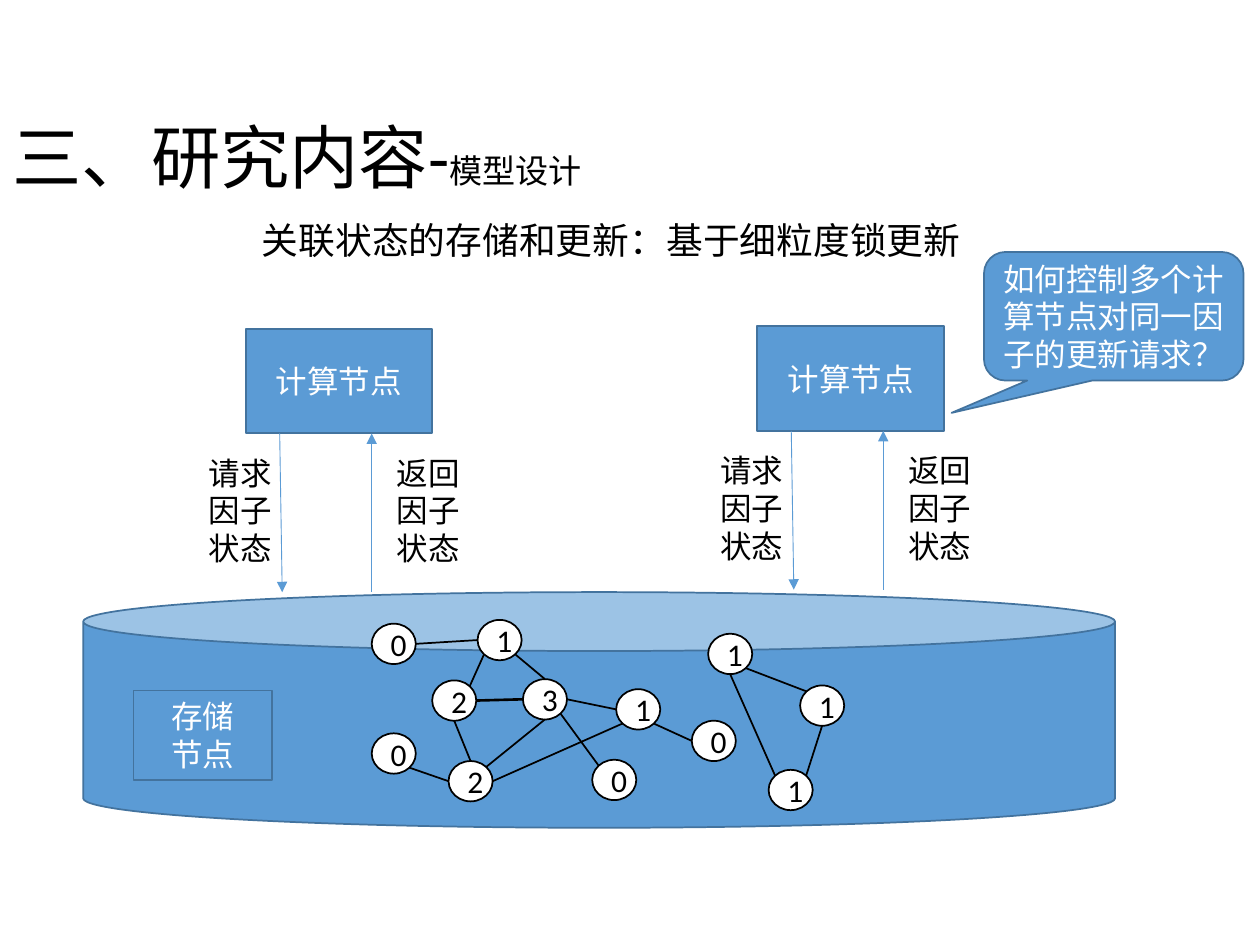
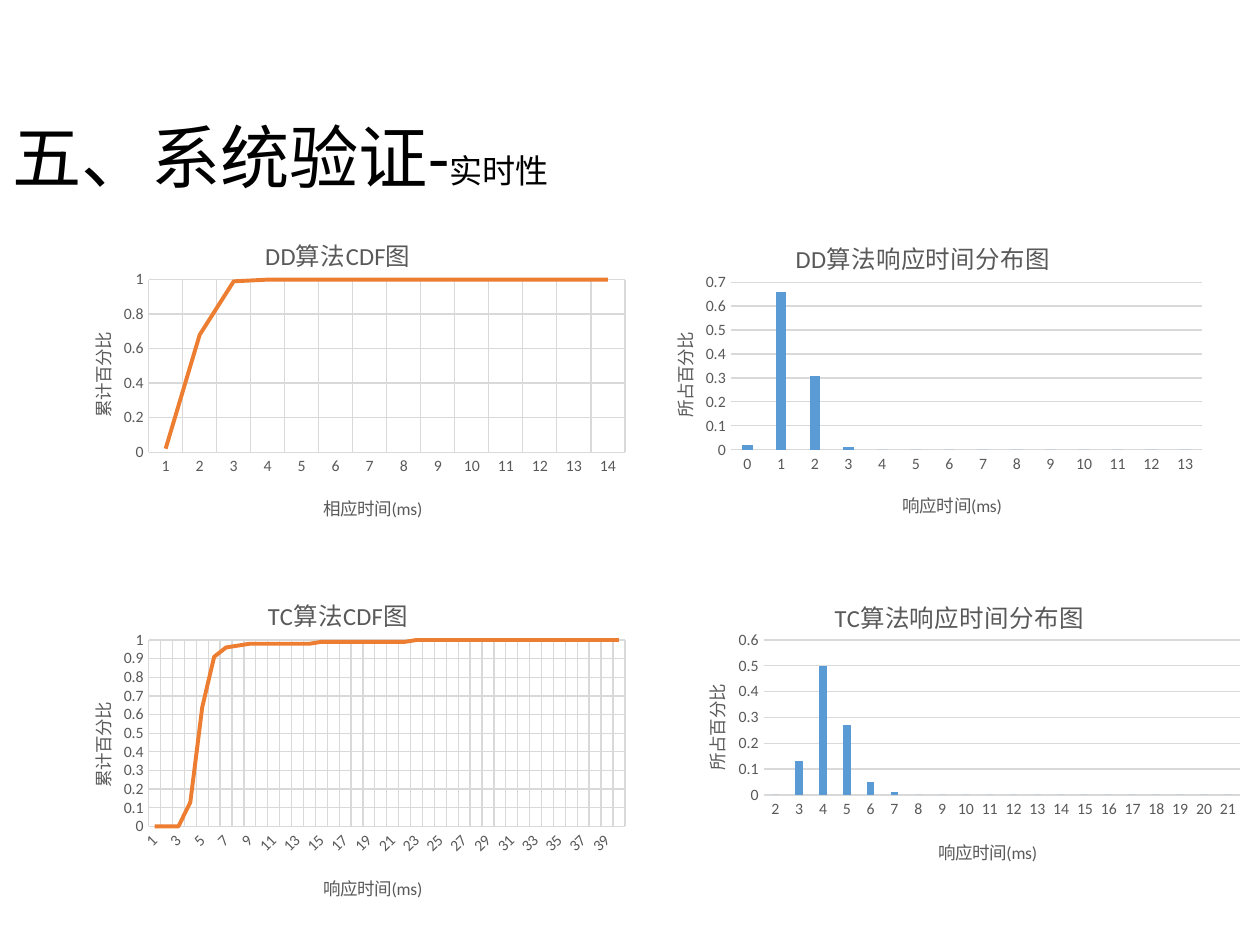
from lxml import etree
from pptx import Presentation
from pptx.chart.data import CategoryChartData
from pptx.dml.color import RGBColor
from pptx.enum.chart import XL_CHART_TYPE, XL_TICK_MARK
from pptx.enum.shapes import MSO_CONNECTOR, MSO_SHAPE
from pptx.enum.text import MSO_ANCHOR, PP_ALIGN
from pptx.oxml.ns import qn
from pptx.util import Inches, Pt

LINE, COLUMN = XL_CHART_TYPE.LINE, XL_CHART_TYPE.COLUMN_CLUSTERED
NO_TICK = XL_TICK_MARK.NONE
CAN, RECT = MSO_SHAPE.CAN, MSO_SHAPE.RECTANGLE
CIRCLE, CALLOUT = MSO_SHAPE.FLOWCHART_CONNECTOR, MSO_SHAPE.ROUNDED_RECTANGULAR_CALLOUT
STRAIGHT = MSO_CONNECTOR.STRAIGHT
LEFT, CENTER = PP_ALIGN.LEFT, PP_ALIGN.CENTER
TOP, MIDDLE = MSO_ANCHOR.TOP, MSO_ANCHOR.MIDDLE

FONT = "Calibri"
COLORS = {"black": "000000", "white": "FFFFFF", "blue": "5B9BD5", "edge": "43739E",
          "orange": "ED7D31", "grey": "595959", "grid": "D9D9D9"}

# ---- Content: storage model ----
MODEL_TITLE = ("三、研究内容-", "模型设计")
SUBTITLE = "关联状态的存储和更新：基于细粒度锁更新"
QUESTION = "如何控制多个计算节点对同一因子的更新请求？"
COMPUTE = "计算节点"
STORAGE = ["存储", "节点"]
REQUEST = ["请求", "因子", "状态"]
REPLY = ["返回", "因子", "状态"]
COMPUTE_ORIGINS = [(1.95, 2.61), (6.01, 2.59)]

# Factor graph: name -> (left, top, state)
NODE_W, NODE_H = 0.35, 0.32
NODES = {
    "a": (2.95, 4.95, "0"), "b": (3.43, 5.4, "2"), "c": (2.95, 5.82, "0"),
    "d": (3.56, 6.04, "2"), "e": (4.15, 5.39, "3"), "f": (3.79, 4.92, "1"),
    "g": (4.7, 6.03, "0"), "h": (4.89, 5.47, "1"), "i": (5.62, 5.03, "1"),
    "j": (5.49, 5.72, "0"), "k": (6.1, 6.11, "1"), "l": (6.35, 5.44, "1"),
}
# Each edge: node, its side, node, its side
EDGES = ["f L a R", "c BR d L", "b TR f BL", "e R h L", "e BR g TL", "h BL d R",
         "b R e L", "f BR e T", "b B d T", "d TR e B", "h BR j L", "i BR l TL",
         "l B k TR", "i B k TL"]
BOLD_EDGE = "b R e L"

# ---- Content: response time charts ----
TIMING_TITLE = ("五、系统验证-", "实时性")
CDF_AXIS, SHARE_AXIS = "累计百分比", "所占百分比"
# box and plot: left, top, width, height; title positions: left, top
CHARTS = [
    dict(kind=LINE, box=(0.44, 4.46, 4.62, 2.85), plot=(1.18, 5.08, 3.78, 1.48),
         title=("TC算法CDF图", 2.09, 4.68), x=("响应时间(ms)", 2.54, 6.91),
         y=(CDF_AXIS, 0.68, 5.55), first=1, top=1, unit=0.1,
         vals=[0, 0, 0, 0.13, 0.64, 0.91, 0.96, 0.97] + [0.98] * 6 + [0.99] * 8 + [1] * 18),
    dict(kind=LINE, box=(0.44, 1.61, 4.62, 2.68), plot=(1.18, 2.22, 3.78, 1.37),
         title=("DD算法CDF图", 2.07, 1.82), x=("相应时间(ms)", 2.54, 3.89),
         y=(CDF_AXIS, 0.68, 2.61), first=1, top=1, unit=0.2,
         vals=[0.02, 0.68, 0.99] + [1] * 11),
    dict(kind=COLUMN, box=(5.06, 1.62, 4.57, 2.65), plot=(5.8, 2.24, 3.74, 1.33),
         title=("DD算法响应时间分布图", 6.28, 1.84), x=("响应时间(ms)", 7.14, 3.87),
         y=(SHARE_AXIS, 5.3, 2.61), first=0, top=0.7, unit=0.1,
         vals=[0.02, 0.66, 0.31, 0.01] + [0] * 10),
    dict(kind=COLUMN, box=(5.31, 4.48, 4.62, 2.54), plot=(6.06, 5.08, 3.78, 1.23),
         title=("TC算法响应时间分布图", 6.59, 4.69), x=("响应时间(ms)", 7.42, 6.62),
         y=(SHARE_AXIS, 5.55, 5.41), first=2, top=0.6, unit=0.1,
         vals=[0, 0.13, 0.5, 0.27, 0.05, 0.01] + [0] * 14),
]


# ---- Shared helpers ----
def rgb(name):
    return RGBColor.from_string(COLORS[name])


def inches(box):
    return [Inches(v) for v in box]


def style_font(font, size, color):
    font.name, font.size, font.bold = FONT, Pt(size), False
    font.color.rgb = rgb(color)


def add_run(p, text, size, color):
    r = p.add_run()
    r.text = text
    style_font(r.font, size, color)


def write(tf, lines, size=18, color="black", align=LEFT, anchor=TOP, wrap=True):
    """Each line is a list of (text, size) runs or one plain string."""
    tf.word_wrap = wrap
    tf.vertical_anchor = anchor
    for i, line in enumerate(lines):
        p = tf.paragraphs[0] if i == 0 else tf.add_paragraph()
        p.alignment = align
        for text, run_size in [(line, size)] if isinstance(line, str) else line:
            add_run(p, text, run_size, color)
    return tf.paragraphs[0]


def add_text(s, box, lines, **style):
    return write(s.shapes.add_textbox(*inches(box)).text_frame, lines, **style)


def add_box(s, kind, box, lines=(), fill="blue", line="edge", color="white"):
    sp = s.shapes.add_shape(kind, *inches(box))
    sp.shadow.inherit = False
    sp.fill.solid()
    sp.fill.fore_color.rgb = rgb(fill)
    sp.line.color.rgb = rgb(line)
    sp.line.width = Pt(1)
    write(sp.text_frame, lines, color=color, align=CENTER, anchor=MIDDLE)
    return sp


def add_line(s, start, end, color="black", width=1, arrow=False):
    cxn = s.shapes.add_connector(STRAIGHT, *inches(start + end))
    cxn.line.color.rgb = rgb(color)
    cxn.line.width = Pt(width)
    if arrow:
        etree.SubElement(cxn.line._get_or_add_ln(), qn("a:tailEnd"), type="triangle")
    etree.SubElement(cxn._element.spPr, qn("a:effectLst"))


def add_slide(prs, title):
    s = prs.slides.add_slide(prs.slide_layouts[6])
    head, topic = title
    p = add_text(s, (0, 0.92, 8.62, 0.71), [[(head, 39.6), (topic, 18.9)]], anchor=MIDDLE)
    p.line_spacing = 0.9
    return s


# ---- Storage model ----
def node_side(name, side):
    """Point on the rim of a node; diagonal sides lie at 45 degrees."""
    x, y, _ = NODES[name]
    reach = 0.5 if len(side) == 1 else 0.35
    dx = ("R" in side) - ("L" in side)
    dy = ("B" in side) - ("T" in side)
    return x + NODE_W * (0.5 + reach * dx), y + NODE_H * (0.5 + reach * dy)


def add_compute_node(s, x, y):
    add_box(s, RECT, (x, y, 1.48, 0.83), [COMPUTE])
    bottom = y + 0.83
    add_line(s, (x + 0.27, bottom), (x + 0.29, bottom + 1.26), "blue", 0.5, arrow=True)
    add_line(s, (x + 1, bottom + 1.26), (x + 1, bottom), "blue", 0.5, arrow=True)
    for dx, label in ((-0.39, REQUEST), (1.1, REPLY)):
        add_text(s, (x + dx, y + 0.94, 1.1, 1.01), label)


def build_model(prs):
    s = add_slide(prs, MODEL_TITLE)
    p = add_text(s, (1.73, 1.68, 6.02, 0.45), [SUBTITLE], size=21, align=CENTER, wrap=False)
    p._p.get_or_add_pPr().set("indent", str(Inches(0.22)))

    add_box(s, CAN, (0.66, 4.7, 8.19, 1.87))
    add_box(s, RECT, (1.06, 5.48, 1.1, 0.71), STORAGE)
    for x, y, state in NODES.values():
        add_box(s, CIRCLE, (x, y, NODE_W, NODE_H), [state], "white", "black", "black")
    for edge in EDGES:
        a, a_side, b, b_side = edge.split()
        add_line(s, node_side(a, a_side), node_side(b, b_side),
                 width=1.5 if edge == BOLD_EDGE else 1)

    for x, y in COMPUTE_ORIGINS:
        add_compute_node(s, x, y)
    callout = add_box(s, CALLOUT, (7.81, 2, 2.06, 1.02), [QUESTION])
    for i, value in enumerate((-0.625, 0.752, 0.167)):
        callout.adjustments[i] = value


# ---- Response time charts ----
def place(parent, index, box, frame, inner=False):
    """Fix a chart part at a place given in slide inches."""
    for old in parent.findall(qn("c:layout")):
        parent.remove(old)
    layout = etree.Element(qn("c:layout"))
    manual = etree.SubElement(layout, qn("c:manualLayout"))
    fields = [("layoutTarget", "inner")] if inner else []
    fields += [("xMode", "edge"), ("yMode", "edge"),
               ("x", (box[0] - frame[0]) / frame[2]), ("y", (box[1] - frame[1]) / frame[3])]
    if inner:
        fields += [("w", box[2] / frame[2]), ("h", box[3] / frame[3])]
    for tag, value in fields:
        etree.SubElement(manual, qn("c:" + tag), val=str(value))
    parent.insert(index, layout)


def set_title(title, content, size, frame):
    text, x, y = content
    add_run(title.text_frame.paragraphs[0], text, size, "grey")
    place(title._element, 1, (x, y), frame)


def style_axis(axis, content, frame, grid):
    axis.major_tick_mark = axis.minor_tick_mark = NO_TICK
    style_font(axis.tick_labels.font, 9, "grey")
    axis.has_major_gridlines = grid
    if grid:
        axis.major_gridlines.format.line.color.rgb = rgb("grid")
        axis.major_gridlines.format.line.width = Pt(0.75)
    set_title(axis.axis_title, content, 10, frame)


def add_chart(s, spec):
    vals, frame, is_line = spec["vals"], spec["box"], spec["kind"] == LINE
    data = CategoryChartData()
    data.categories = [str(spec["first"] + i) for i in range(len(vals))]
    data.add_series("Series 1", vals)
    chart = s.shapes.add_chart(spec["kind"], *inches(frame), data).chart
    style_font(chart.font, 10, "black")
    chart.has_legend = False
    set_title(chart.chart_title, spec["title"], 14, frame)

    cat, val = chart.category_axis, chart.value_axis
    style_axis(cat, spec["x"], frame, grid=is_line)
    cat.format.line.color.rgb = rgb("grid")
    cat.format.line.width = Pt(0.75)
    for body in chart._chartSpace.xpath(".//c:catAx/c:txPr/a:bodyPr"):
        body.set("rot", "-60000000")
    style_axis(val, spec["y"], frame, grid=True)
    val.format.line.fill.background()
    val.minimum_scale, val.maximum_scale, val.major_unit = 0, spec["top"], spec["unit"]
    for body in val.axis_title._element.xpath(".//a:bodyPr"):
        body.set("rot", "-5400000")
        body.set("vert", "horz")

    plot = chart.plots[0]
    plot.vary_by_categories = False
    series = plot.series[0]
    if is_line:
        series.smooth = False
        series.format.line.color.rgb = rgb("orange")
        series.format.line.width = Pt(2.25)
    else:
        plot.gap_width, plot.overlap = 219, -27
        series.format.fill.solid()
        series.format.fill.fore_color.rgb = rgb("blue")
    place(chart._chartSpace.chart.plotArea, 0, spec["plot"], frame, inner=True)


def main():
    prs = Presentation()
    prs.slide_width, prs.slide_height = Inches(10), Inches(7.5)
    build_model(prs)
    timing = add_slide(prs, TIMING_TITLE)
    for spec in CHARTS:
        add_chart(timing, spec)
    prs.save("out.pptx")


if __name__ == "__main__":
    main()
